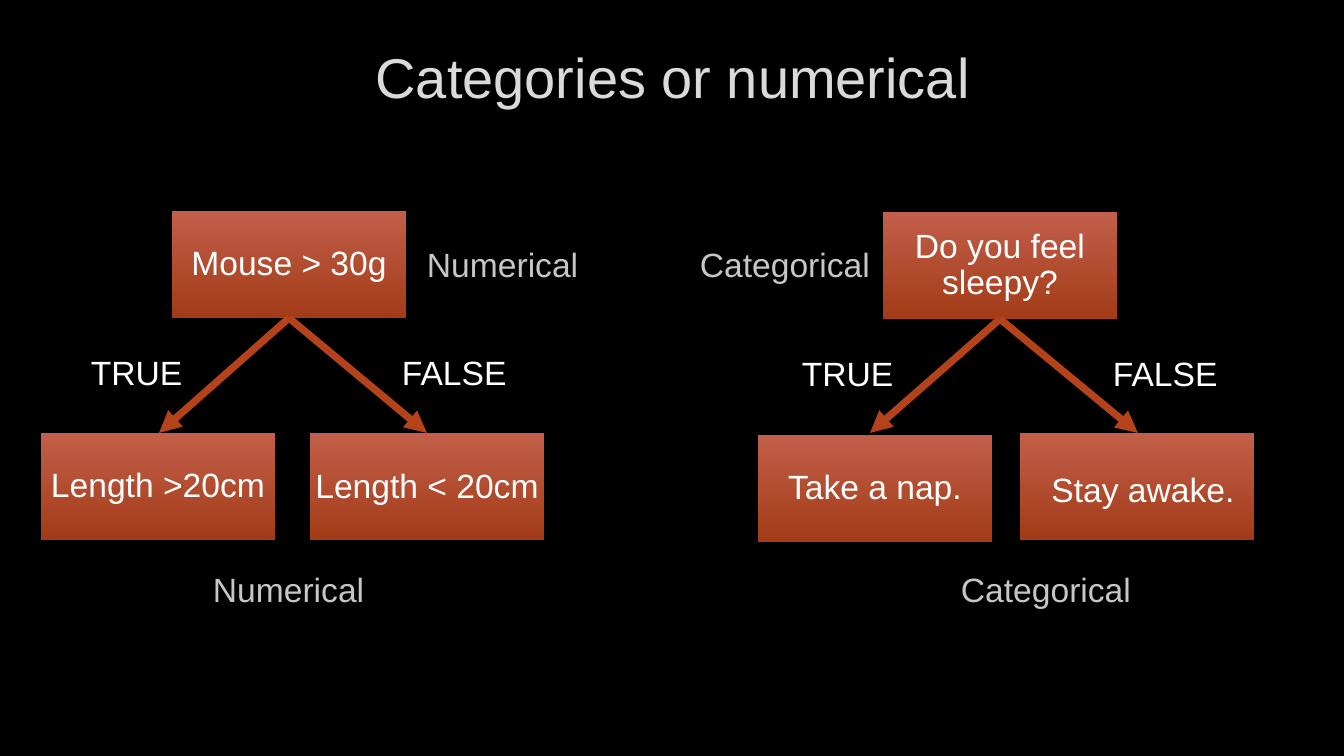
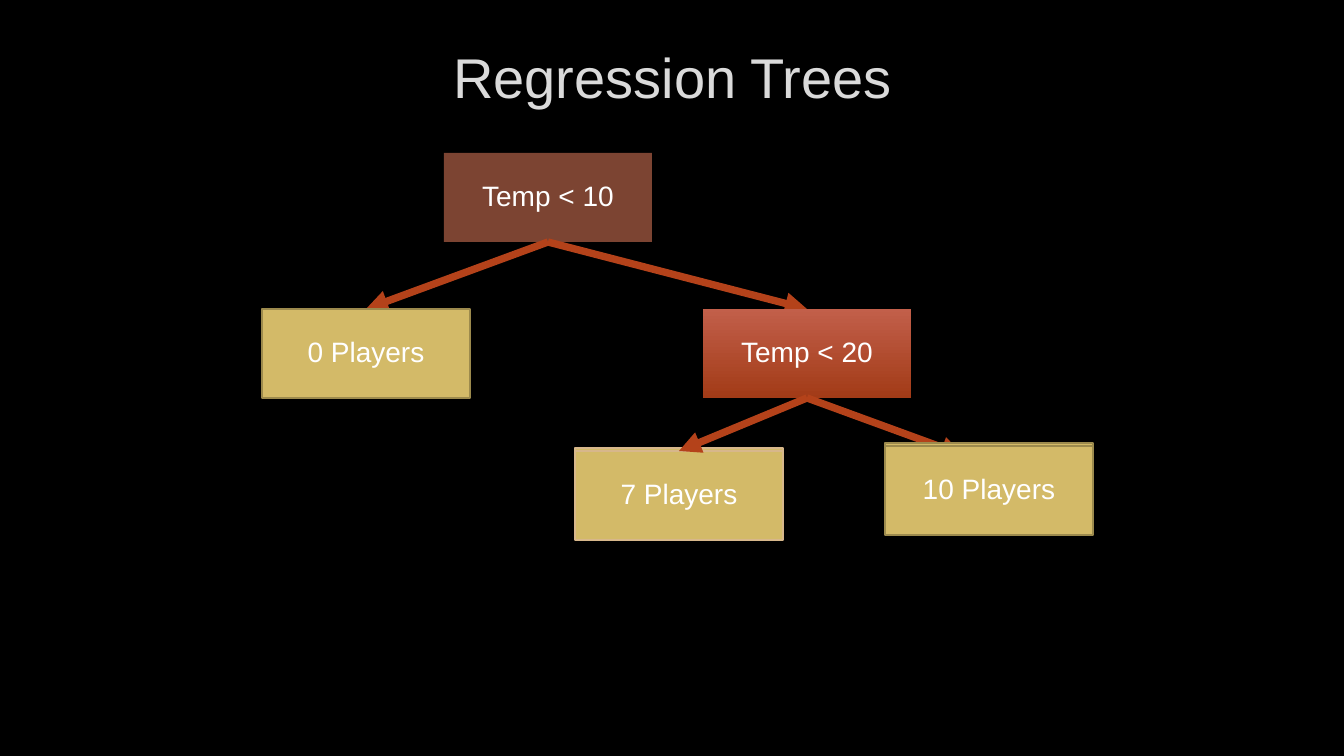
import pptx
import pptx.util
import pptx.dml.color
import pptx.enum.shapes
import pptx.enum.text
import pptx.oxml
import pptx.oxml.ns

RGB = pptx.dml.color.RGBColor
ANCHOR = pptx.enum.text.MSO_ANCHOR
ALIGN = pptx.enum.text.PP_ALIGN

# Content; all lengths are pixels at 100.8 per inch
CATEGORY_TITLE = "Categories or numerical"
# root place and text, then (x, y, text, text shift) of each answer
DECISIONS = [
    ((883, 212, "Do you feel sleepy?"),
     [(1020, 433, "Stay awake.", (6, 5)), (758, 435, "Take a nap.", (0, 0))]),
    ((172, 211, "Mouse > 30g"),
     [(41, 433, "Length >20cm", (0, 0)), (310, 433, "Length < 20cm", (0, 1))]),
]
KINDS = [(203, 564, "Numerical"), (951, 564, "Categorical"),
         (690, 239, "Categorical"), (417, 239, "Numerical")]
# branch text, its offset from the root, arrow tip from the root's middle
BRANCHES = [("TRUE", -91, -130), ("FALSE", 220, 138)]

REGRESSION_TITLE = "Regression Trees"
TEMP_10, TEMP_20 = (444, 153, "Temp < 10"), (703, 309, "Temp < 20")
NO_PLAYERS = (262, 309, "0 Players")
SEVEN_PLAYERS, TEN_PLAYERS = (575, 451, "7 Players"), (885, 446, "10 Players")
TEN_PLAYERS_TIP = (963, 455)

# Shared style
FONT = "Arial"
BLACK, WHITE = RGB(0, 0, 0), RGB(255, 255, 255)
TITLE_GREY, KIND_GREY = RGB(0xDA, 0xDA, 0xDA), RGB(0xC6, 0xC6, 0xC9)
RUST = (RGB(0xC2, 0x5F, 0x4A), RGB(0xA2, 0x3B, 0x17))
BROWN, GOLD = RGB(0x7C, 0x44, 0x32), RGB(0xD3, 0xBA, 0x68)
ARROW = RGB(0xB4, 0x42, 0x1A)
OLIVE_EDGE = (RGB(0x9C, 0x8A, 0x4D), 1.25)
TAN_EDGE = (RGB(0xD7, 0xB7, 0x8B), 2)
INSET = 4
DECISION_SIZE, REGRESSION_SIZE = (234, 107), (208, 89)
KIND_SIZE, BRANCH_SIZE = (266, 50), (208, 50)


def px(length):
    return round(length * 914400 / 100.8)


def write(frame, text, size, color, align=ALIGN.LEFT):
    frame.word_wrap = True
    paragraph = frame.paragraphs[0]
    paragraph.alignment = align
    run = paragraph.add_run()
    run.text = text
    run.font.name, run.font.size = FONT, pptx.util.Pt(size)
    run.font.color.rgb = color
    return paragraph


def add_label(slide, x, y, size, text, color):
    label = slide.shapes.add_textbox(*map(px, (x, y, *size)))
    write(label.text_frame, text, 24, color)


def add_node(slide, x, y, text, size, points, fill=RUST, edge=None, shift=(0, 0)):
    node = slide.shapes.add_shape(
        pptx.enum.shapes.MSO_SHAPE.RECTANGLE, *map(px, (x, y, *size)))
    node.shadow.inherit = False
    if fill is RUST:
        node.fill.gradient()
        node.fill.gradient_angle = 270
        for stop, color in zip(node.fill.gradient_stops, RUST):
            stop.color.rgb = color
    else:
        node.fill.solid()
        node.fill.fore_color.rgb = fill
    if edge:
        node.line.color.rgb, node.line.width = edge[0], pptx.util.Pt(edge[1])
    else:
        node.line.fill.background()
    if text:
        frame = node.text_frame
        frame.vertical_anchor = ANCHOR.MIDDLE
        # an inset on one side moves the centred text by half of it
        frame.margin_left, frame.margin_top = (px(INSET + 2 * s) for s in shift)
        frame.margin_right = frame.margin_bottom = px(INSET)
        write(frame, text, points, WHITE, ALIGN.CENTER).line_spacing = 0.9


def add_arrow(slide, start, tip):
    arrow = slide.shapes.add_connector(
        pptx.enum.shapes.MSO_CONNECTOR.STRAIGHT, *map(px, (*start, *tip)))
    arrow.line.color.rgb, arrow.line.width = ARROW, pptx.util.Pt(5.25)
    properties = arrow.element.spPr
    head = pptx.oxml.parse_xml(
        '<a:tailEnd %s type="triangle"/>' % pptx.oxml.ns.nsdecls("a"))
    properties.find(pptx.oxml.ns.qn("a:ln")).append(head)
    properties.append(pptx.oxml.parse_xml(
        "<a:effectLst %s/>" % pptx.oxml.ns.nsdecls("a")))


def top(node, size):
    return node[0] + size[0] // 2, node[1]


def bottom(node, size):
    return node[0] + size[0] // 2, node[1] + size[1]


# Presentation, black background and title place
prs = pptx.Presentation()
prs.slide_width, prs.slide_height = px(1344), px(756)
prs.slide_master.background.fill.solid()
prs.slide_master.background.fill.fore_color.rgb = BLACK
layout = prs.slide_layouts[5]
layout_title = layout.placeholders[0]
layout_title.left, layout_title.top = px(102), px(23)
layout_title.width, layout_title.height = px(1141), px(107)
layout_title.text_frame.vertical_anchor = ANCHOR.MIDDLE


def add_slide(title):
    slide = prs.slides.add_slide(layout)
    write(slide.shapes.title.text_frame, title, 40, TITLE_GREY, ALIGN.CENTER)
    return slide


# Slide 1: two decision trees
slide = add_slide(CATEGORY_TITLE)
for root, answers in DECISIONS:
    add_node(slide, *root, DECISION_SIZE, 24)
    start = bottom(root, DECISION_SIZE)
    for text, offset, reach in BRANCHES:
        add_label(slide, root[0] + offset, root[1] + 136, BRANCH_SIZE, text, WHITE)
        add_arrow(slide, start, (start[0] + reach, 433))
    for x, y, text, shift in answers:
        add_node(slide, x, y, text, DECISION_SIZE, 24, shift=shift)
for x, y, text in KINDS:
    add_label(slide, x, y, KIND_SIZE, text, KIND_GREY)

# Slide 2: regression tree, from back to front
slide = add_slide(REGRESSION_TITLE)
add_node(slide, *TEMP_10, REGRESSION_SIZE, 20, BROWN)
for child in (NO_PLAYERS, TEMP_20):
    add_arrow(slide, bottom(TEMP_10, REGRESSION_SIZE), top(child, REGRESSION_SIZE))
add_node(slide, *NO_PLAYERS, REGRESSION_SIZE, 20, GOLD, OLIVE_EDGE)
add_node(slide, *TEMP_20, REGRESSION_SIZE, 20)


def add_stacked_leaf(leaf, edge):
    x, y, text = leaf
    add_node(slide, x, y - 3, "", REGRESSION_SIZE, 20, GOLD, edge)
    add_node(slide, x, y, text, REGRESSION_SIZE, 20, GOLD, edge)


add_stacked_leaf(SEVEN_PLAYERS, TAN_EDGE)
for tip in (top(SEVEN_PLAYERS, REGRESSION_SIZE), TEN_PLAYERS_TIP):
    add_arrow(slide, bottom(TEMP_20, REGRESSION_SIZE), tip)
add_stacked_leaf(TEN_PLAYERS, OLIVE_EDGE)

prs.save("out.pptx")
